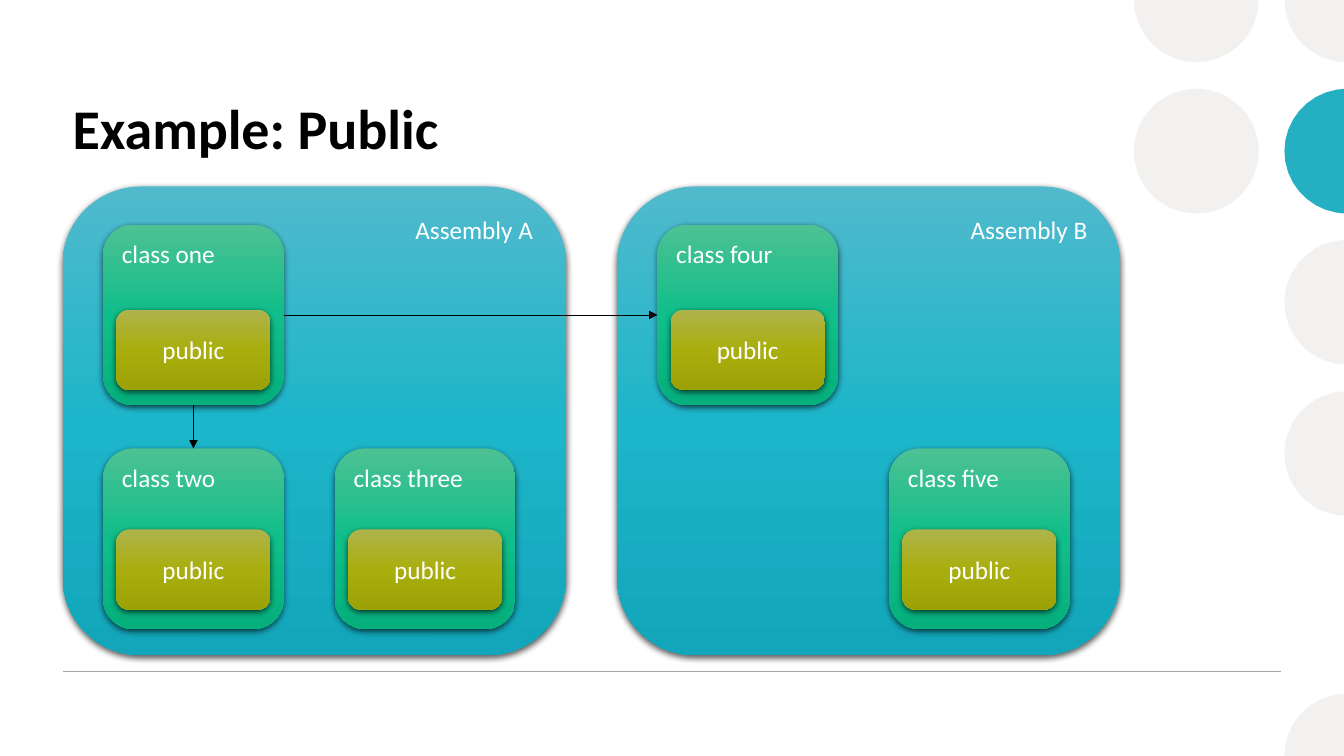
"""Build the slide "Example: Public" with two assemblies and their classes."""
from math import cos, radians, sin

from lxml.etree import SubElement
from pptx import Presentation
from pptx.dml.color import RGBColor
from pptx.enum.shapes import MSO_CONNECTOR, MSO_SHAPE
from pptx.enum.text import MSO_ANCHOR, PP_ALIGN
from pptx.oxml import parse_xml
from pptx.oxml.ns import nsdecls, qn
from pptx.util import Cm, Pt

COLORS = {
    "black": "000000", "white": "FFFFFF", "rule": "A6A6A6",
    "circle": "F3F1F0", "accent": "25AFC2",
    "assembly": ("50BACC", "1DB5CA", "13A6BA"),
    "class": ("4DC194", "0FBE89", "06B07D"),
    "member": ("AEB34C", "A9AE0E", "9CA106"),
}
LABEL_FONT = {"name": "Calibri", "size": Pt(18), "bold": False}
TITLE_FONT = {"name": "Calibri", "size": Pt(40), "bold": True}
WIDTH, HEIGHT = 33.87, 19.05


def write(shape, text, font, color, align, anchor):
    frame = shape.text_frame
    frame.word_wrap = True
    frame.vertical_anchor = anchor
    paragraph = frame.paragraphs[0]
    paragraph.alignment = align
    run = paragraph.add_run()
    run.text = text
    for name, value in font.items():
        setattr(run.font, name, value)
    run.font.color.rgb = RGBColor.from_string(COLORS[color])


def add_box(kind, text, left, top, width, height, align, anchor=MSO_ANCHOR.TOP):
    box = slide.shapes.add_shape(
        MSO_SHAPE.ROUNDED_RECTANGLE, Cm(left), Cm(top), Cm(width), Cm(height))
    box.line.fill.background()
    write(box, text, LABEL_FONT, "white", align, anchor)
    stops = "".join(
        f'<a:gs pos="{position}"><a:srgbClr val="{color}"/></a:gs>'
        for position, color in zip((0, 50000, 100000), COLORS[kind]))
    properties = box.element.spPr
    properties.find(qn("a:ln")).addprevious(parse_xml(
        f'<a:gradFill {nsdecls("a")} rotWithShape="1"><a:gsLst>{stops}</a:gsLst>'
        '<a:lin ang="5400000" scaled="0"/></a:gradFill>'))
    properties.append(parse_xml(
        f'<a:effectLst {nsdecls("a")}><a:outerShdw blurRad="57150" dist="19050"'
        f' dir="5400000" algn="ctr" rotWithShape="0"><a:srgbClr val="{COLORS["black"]}">'
        '<a:alpha val="63000"/></a:srgbClr></a:outerShdw></a:effectLst>'))
    return box


presentation = Presentation()
presentation.slide_width, presentation.slide_height = Cm(WIDTH), Cm(HEIGHT)
slide = presentation.slides.add_slide(presentation.slide_layouts[6])

radius, pitch = 1.57, 3.81
left_column, right_column = 30.15, 33.94
circles = [(slide.shapes.add_shape(
    MSO_SHAPE.OVAL, Cm(left_column - radius), Cm(pitch - radius),
    Cm(2 * radius), Cm(2 * radius)), "circle")]
for center_x, row, start, end, corner, color in [
        (left_column, 0, 0, 180, [], "circle"),
        (right_column, 0, 90, 180, [(WIDTH, 0)], "circle"),
        (right_column, 1, 90, 270, [], "accent"),
        (right_column, 2, 90, 270, [], "circle"),
        (right_column, 3, 90, 270, [], "circle"),
        (right_column, 5, 180, 270, [(WIDTH, HEIGHT)], "circle")]:
    arc = [(min(center_x + radius * cos(radians(angle)), WIDTH),
            row * pitch + radius * sin(radians(angle)))
           for angle in range(start, end + 1, 10)]
    points = [(Cm(x), Cm(y)) for x, y in arc + corner]
    builder = slide.shapes.build_freeform(*points[0])
    builder.add_line_segments(points[1:], close=True)
    circles.append((builder.convert_to_shape(), color))
for circle, color in circles:
    circle.shadow.inherit = False
    circle.fill.solid()
    circle.fill.fore_color.rgb = RGBColor.from_string(COLORS[color])
    circle.line.fill.background()

title = slide.shapes.add_textbox(Cm(1.58), Cm(2.22), Cm(20.37), Cm(2))
write(title, "Example: Public", TITLE_FONT, "black", PP_ALIGN.LEFT, MSO_ANCHOR.TOP)

assemblies = [
    ("Assembly A", 1.58, [("class one", 0, 0), ("class two", 0, 1), ("class three", 1, 1)]),
    ("Assembly B", 15.55, [("class four", 0, 0), ("class five", 1, 1)]),
]
class_tops, member_tops = (5.66, 11.3), (7.8, 13.34)
class_size, column_pitch = 4.55, 5.84
classes = {}
for assembly_name, assembly_left, members in assemblies:
    add_box("assembly", assembly_name, assembly_left, 4.7, 12.68, 11.81, PP_ALIGN.RIGHT)
    for class_name, column, row in members:
        left = assembly_left + 1.02 + column * column_pitch
        classes[class_name] = add_box(
            "class", class_name, left, class_tops[row], class_size, class_size, PP_ALIGN.LEFT)
        add_box("member", "public", left + 0.33, member_tops[row], 3.89, 2.03,
                PP_ALIGN.CENTER, MSO_ANCHOR.MIDDLE)

top_site, left_site, bottom_site, right_site = range(4)
rule = slide.shapes.add_connector(
    MSO_CONNECTOR.STRAIGHT, Cm(1.58), Cm(16.92), Cm(32.28), Cm(16.92))
lines = [(rule, "rule", 1)]
for target, begin_site, end_site in [
        ("class two", bottom_site, top_site), ("class four", right_site, left_site)]:
    arrow = slide.shapes.add_connector(MSO_CONNECTOR.STRAIGHT, 0, 0, 0, 0)
    arrow.begin_connect(classes["class one"], begin_site)
    arrow.end_connect(classes[target], end_site)
    lines.append((arrow, "black", 0.5))
for connector, color, width in lines:
    connector.line.color.rgb = RGBColor.from_string(COLORS[color])
    connector.line.width = Pt(width)
    if connector is not rule:
        SubElement(connector.element.spPr.find(qn("a:ln")), qn("a:tailEnd"), type="triangle")
    SubElement(connector.element.spPr, qn("a:effectLst"))

presentation.save("out.pptx")
